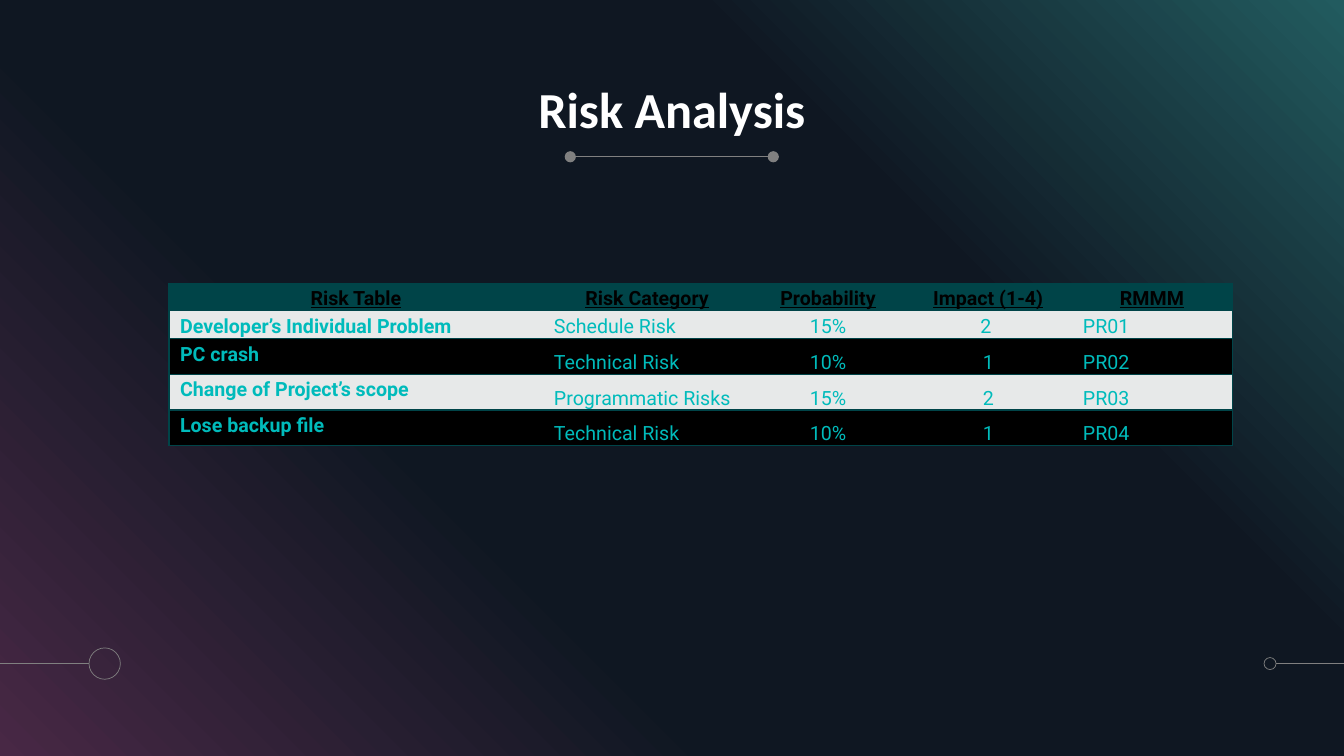
"""Build the risk analysis slide with its risk table."""
from lxml import etree
from copy import deepcopy
from pptx import Presentation
from pptx import util as u
from pptx.dml.color import RGBColor
from pptx.enum import shapes, text
from pptx.oxml import ns

BLACK = RGBColor(0x00, 0x00, 0x00)
WHITE = RGBColor(0xFF, 0xFF, 0xFF)
GREY = RGBColor(0x80, 0x80, 0x80)
PALE = RGBColor(0xE7, 0xE9, 0xE9)
TEAL = RGBColor(0x00, 0x44, 0x48)
CYAN = RGBColor(0x00, 0xBB, 0xBB)
PLUM = RGBColor(0x48, 0x28, 0x45)
NAVY = RGBColor(0x0F, 0x17, 0x22)
SEA = RGBColor(0x22, 0x5B, 0x5F)

WIDTH, HEIGHT = 960, 540
BACKDROP_STOPS = [(0, PLUM), (0.34, NAVY), (0.69, NAVY), (1, SEA)]
COLUMN_WIDTHS = [267.1, 149, 109.4, 119.5, 114.5]
ROW_HEIGHTS = [19.4, 19.4, 24.5, 24.5, 24.5]
CENTRED_COLUMNS = (2, 3)
RISKS = [
    ["Risk Table", "Risk Category", "Probability", "Impact (1-4)", "RMMM"],
    ["Developer’s Individual Problem", "Schedule Risk", "15%", "2 ", "PR01"],
    ["PC crash", "Technical Risk", "10%", "1", "PR02"],
    ["Change of Project’s scope", "Programmatic Risks", "15%", "2", "PR03"],
    ["Lose backup file", "Technical Risk", "10%", "1", "PR04"],
]


class SlideBuilder:
    """Hold the slide and the style of its elements."""

    title_font = "Calibri"
    table_font = "Roboto"
    rule_width = 0.5
    border_width = 1

    def __init__(self, slide):
        self.slide = slide
        self.shapes = slide.shapes

    def backdrop(self, stops):
        """Cover the slide with a diagonal gradient."""
        background = self.slide.background.fill
        background.solid()
        background.fore_color.rgb = BLACK
        shape = self.shapes.add_shape(
            shapes.MSO_SHAPE.RECTANGLE, 0, 0, u.Pt(WIDTH), u.Pt(HEIGHT))
        shape.shadow.inherit = False
        shape.line.fill.background()
        shape.fill.gradient()
        shape.fill.gradient_angle = 45
        stop_list = shape._element.spPr.find(".//" + ns.qn("a:gsLst"))
        while len(stop_list) < len(stops):
            stop_list.append(deepcopy(stop_list[0]))
        for stop, (position, color) in zip(shape.fill.gradient_stops, stops):
            stop.position = position
            stop.color.rgb = color

    def circle(self, center_x, center_y, diameter, filled=False):
        """Draw a grey ring, or a grey dot when filled."""
        shape = self.shapes.add_shape(
            shapes.MSO_SHAPE.OVAL,
            u.Pt(center_x - diameter / 2), u.Pt(center_y - diameter / 2),
            u.Pt(diameter), u.Pt(diameter))
        shape.shadow.inherit = False
        if filled:
            shape.fill.solid()
            shape.fill.fore_color.rgb = GREY
            shape.line.fill.background()
        else:
            shape.fill.background()
            shape.line.color.rgb = GREY
            shape.line.width = u.Pt(self.rule_width)

    def rule(self, start_x, end_x, y):
        """Draw a thin horizontal line."""
        connector = self.shapes.add_connector(
            shapes.MSO_CONNECTOR.STRAIGHT,
            u.Pt(start_x), u.Pt(y), u.Pt(end_x), u.Pt(y))
        connector.line.color.rgb = GREY
        connector.line.width = u.Pt(self.rule_width)
        etree.SubElement(connector._element.spPr, ns.qn("a:effectLst"))

    def title(self, wording, left, top, width, height):
        """Place the title placeholder in front of the backdrop."""
        shape = self.shapes.title
        self.shapes._spTree.append(shape._element)
        shape.left, shape.top = u.Pt(left), u.Pt(top)
        shape.width, shape.height = u.Pt(width), u.Pt(height)
        frame = shape.text_frame
        frame.text = wording
        frame.word_wrap = True
        frame.auto_size = text.MSO_AUTO_SIZE.NONE
        frame.vertical_anchor = text.MSO_ANCHOR.BOTTOM
        frame.margin_left = frame.margin_right = 0
        frame.margin_top = frame.margin_bottom = 0
        paragraph = frame.paragraphs[0]
        paragraph.alignment = text.PP_ALIGN.CENTER
        paragraph.line_spacing = 0.9
        self.format_runs(paragraph, self.title_font, 36, WHITE, True)

    def table(self, rows, left, top, column_widths, row_heights):
        """Add the table with a header row and alternating fills."""
        frame = self.shapes.add_table(
            len(rows), len(column_widths), u.Pt(left), u.Pt(top),
            u.Pt(sum(column_widths)), u.Pt(sum(row_heights)))
        table = frame.table
        table.first_row = table.horz_banding = False
        for column, width in zip(table.columns, column_widths):
            column.width = u.Pt(width)
        for row, height in zip(table.rows, row_heights):
            row.height = u.Pt(height)
        for row_index, row in enumerate(rows):
            for column_index, wording in enumerate(row):
                self.cell(table.cell(row_index, column_index), wording,
                          row_index, column_index, len(row) - 1)

    def cell(self, cell, wording, row, column, last_column):
        """Fill one table cell according to its row and column."""
        header = row == 0
        cell.margin_left = cell.margin_right = u.Pt(7.9)
        cell.margin_top, cell.margin_bottom = u.Pt(0.7), 0
        self.borders(cell, column == 0, column == last_column)
        cell.fill.solid()
        cell.fill.fore_color.rgb = TEAL if header else PALE if row % 2 else BLACK
        cell.text_frame.text = wording
        paragraph = cell.text_frame.paragraphs[0]
        centred = header or column in CENTRED_COLUMNS
        paragraph.alignment = (
            text.PP_ALIGN.CENTER if centred else text.PP_ALIGN.LEFT)
        paragraph.line_spacing = 1.5 if row > 1 and column > 0 else 1.15
        self.format_runs(paragraph, self.table_font, 14,
                         BLACK if header else CYAN,
                         header or column == 0, header)

    def borders(self, cell, left, right):
        """Draw the horizontal borders and the chosen outer sides."""
        properties = cell._tc.get_or_add_tcPr()
        sides = {"a:lnL": left, "a:lnR": right, "a:lnT": True, "a:lnB": True}
        for tag, visible in sides.items():
            line = etree.SubElement(properties, ns.qn(tag),
                                    w=str(u.Pt(self.border_width)))
            if visible:
                fill = etree.SubElement(line, ns.qn("a:solidFill"))
                etree.SubElement(fill, ns.qn("a:srgbClr"), val=str(TEAL))
            else:
                etree.SubElement(line, ns.qn("a:noFill"))

    def format_runs(self, paragraph, name, size, color, bold, underline=False):
        """Set the font of every run in a paragraph."""
        for run in paragraph.runs:
            run.font.name = name
            run.font.size = u.Pt(size)
            run.font.color.rgb = color
            run.font.bold = bold
            run.font.underline = underline


def main():
    """Create the presentation and save it."""
    presentation = Presentation()
    presentation.slide_width = u.Pt(WIDTH)
    presentation.slide_height = u.Pt(HEIGHT)
    slide = presentation.slides.add_slide(presentation.slide_layouts[5])
    builder = SlideBuilder(slide)
    builder.backdrop(BACKDROP_STOPS)
    builder.circle(74.8, 474, 22.4)
    builder.rule(0, 63.6, 474)
    builder.circle(907.2, 474, 8.6)
    builder.rule(911.5, WIDTH, 474)
    builder.rule(407.4, 552.4, 112)
    for center_x in (407.4, 552.4):
        builder.circle(center_x, 112, 8, filled=True)
    builder.title("Risk Analysis", 304.5, 54.7, 351, 44.6)
    builder.table(RISKS, 120.7, 202.3, COLUMN_WIDTHS, ROW_HEIGHTS)
    presentation.save("out.pptx")


if __name__ == "__main__":
    main()
